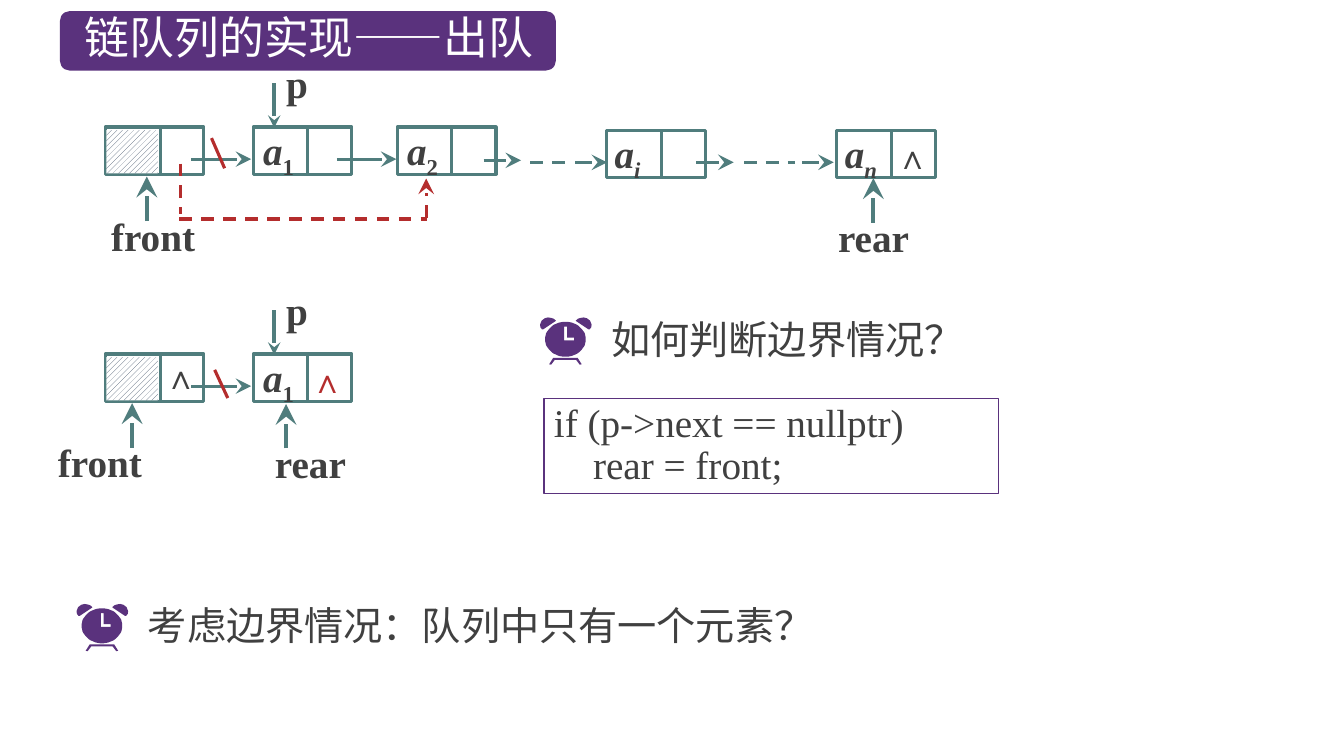
import math
import lxml.etree
import pptx
import pptx.dml.color
import pptx.enum.dml
import pptx.enum.shapes
import pptx.enum.text
import pptx.oxml.ns
import pptx.util

Cm = pptx.util.Cm
Pt = pptx.util.Pt
RGBColor = pptx.dml.color.RGBColor
SHAPE = pptx.enum.shapes.MSO_SHAPE
ALIGN = pptx.enum.text.PP_ALIGN
qn = pptx.oxml.ns.qn

TEAL = RGBColor(0x50, 0x7D, 0x7D)
RED = RGBColor(0xB4, 0x2D, 0x2D)
PURPLE = RGBColor(0x5A, 0x32, 0x7D)
DARK = RGBColor(0x40, 0x40, 0x40)
SLATE = RGBColor(0x44, 0x54, 0x6A)
WHITE = RGBColor(0xFF, 0xFF, 0xFF)

SERIF = "Times New Roman"
SANS = "Noto Sans CJK SC"
NODE_W, NODE_H = 2.49, 1.19
TOP_ROW, LOW_ROW = 3.2, 8.92
TAIL_ROW = 3.28
HEAD_X, A1_X = 2.65, 6.38

# Clock outlines in hundredths of a centimetre
CLOCK_W = 130
EAR = [(20, 0), (12, 2), (4, 8), (0, 18), (1, 25), (5, 30), (8, 30),
       (38, 10), (40, 8), (34, 3), (27, 1)]
LEGS = [(23, 118), (33, 102), (95, 102), (105, 118), (100, 119),
        (91, 107), (37, 107), (28, 119)]
HANDS = [(61, 23), (68, 23), (68, 51), (86, 51), (86, 58), (61, 58)]


def style(run, size, color, font=SERIF, bold=False):
    run.font.size = Pt(size)
    run.font.color.rgb = color
    run.font.name = font
    run.font.bold = bold
    if font == SANS:
        east = lxml.etree.SubElement(run.font._element, qn("a:ea"))
        east.set("typeface", font)


def inset(frame, left, top, right, bottom):
    frame.margin_left, frame.margin_top = Cm(left), Cm(top)
    frame.margin_right, frame.margin_bottom = Cm(right), Cm(bottom)


def label(slide, text, x, y, w, h, size=28, color=DARK, font=SERIF, bold=False):
    frame = slide.shapes.add_textbox(Cm(x), Cm(y), Cm(w), Cm(h)).text_frame
    frame.word_wrap = True
    frame.text = text
    for para in frame.paragraphs:
        style(para.runs[0], size, color, font, bold)
    return frame


def line(slide, x1, y1, x2, y2, color=TEAL, width=2.25, dash=False, arrow=None):
    """Draw a straight line; arrow is the size of its head, med or lg."""
    stroke = slide.shapes.add_connector(
        pptx.enum.shapes.MSO_CONNECTOR.STRAIGHT, Cm(x1), Cm(y1), Cm(x2), Cm(y2))
    stroke.line.color.rgb = color
    stroke.line.width = Pt(width)
    if dash:
        stroke.line.dash_style = pptx.enum.dml.MSO_LINE.DASH
    if arrow:
        end = lxml.etree.SubElement(stroke.line._get_or_add_ln(), qn("a:tailEnd"))
        end.set("type", "stealth")
        end.set("w", arrow)
        end.set("len", arrow)
    lxml.etree.SubElement(stroke._element.spPr, qn("a:effectLst"))


def block(slide, kind, x, y, w, h, fill=None, edge=None, width=2.25):
    shape = slide.shapes.add_shape(kind, Cm(x), Cm(y), Cm(w), Cm(h))
    shape.shadow.inherit = False
    if fill is None:
        shape.fill.background()
    else:
        shape.fill.solid()
        shape.fill.fore_color.rgb = fill
    if edge is None:
        shape.line.fill.background()
    else:
        shape.line.color.rgb = edge
        shape.line.width = Pt(width)
    return shape


def node(slide, x, y, index=None, slant=False):
    box = block(slide, SHAPE.RECTANGLE, x, y, NODE_W, NODE_H, edge=TEAL)
    if index is None:
        return
    line(slide, x + 1.37, y, x + 1.37, y + NODE_H)
    frame = box.text_frame
    frame.vertical_anchor = pptx.enum.text.MSO_ANCHOR.TOP
    inset(frame, 0.2 if slant else 0.25, 0, 0, 0.2)
    para = frame.paragraphs[0]
    para.text = "a"
    para.alignment = ALIGN.LEFT
    para.line_spacing = 0.9
    para.add_run().text = index
    for run, italic in zip(para.runs, (True, slant)):
        style(run, 28, DARK, bold=True)
        run.font.italic = italic
    para.runs[1].font._element.set("baseline", "-25000")


def head(slide, y):
    node(slide, HEAD_X, y)
    line(slide, HEAD_X + 1.4, y + 0.05, HEAD_X + 1.4, y + 0.05 + NODE_H)
    hatch = block(slide, SHAPE.RECTANGLE, HEAD_X + 0.03, y + 0.08, 1.3, 1.09, fill=WHITE)
    hatch.fill.patterned()
    hatch.fill.pattern = pptx.enum.dml.MSO_PATTERN.WIDE_UPWARD_DIAGONAL
    hatch.fill.fore_color.rgb = SLATE
    hatch.fill.back_color.rgb = WHITE


def tag(slide, word, x, y, w=2.16):
    frame = label(slide, word, x, y, w, 0.89, bold=True)
    inset(frame, 0, 0, 0, 0)
    frame.paragraphs[0].line_spacing = 0.8


def pointer(slide, word, x, y, tip):
    tag(slide, word, x, y)
    line(slide, tip, y, tip, y - 1.12, width=3, arrow="lg")


def caret(slide, x, y, color=DARK):
    label(slide, "∧", x, y, 1.45, 1.24, size=24, color=color, bold=True)


def front_pair(slide, y):
    """Head node, first node, the link between them and pointer p."""
    head(slide, y)
    node(slide, A1_X, y, "1")
    line(slide, 4.82, y + 0.81, 6.33, y + 0.81, arrow="lg")
    line(slide, 6.91, y - 1.1, 6.91, y + 0.02, width=3, arrow="med")
    tag(slide, "p", 7.21, y - 1.47, 0.84)


def outline(slide, x, y, *rings):
    start = rings[0][0]
    pen = slide.shapes.build_freeform(start[0], start[1], scale=Cm(0.01))
    for ring in rings:
        if ring is not rings[0]:
            pen.move_to(*ring[0])
        pen.add_line_segments(ring[1:], close=True)
    shape = pen.convert_to_shape(Cm(x), Cm(y))
    shape.shadow.inherit = False
    shape.fill.solid()
    shape.fill.fore_color.rgb = PURPLE
    shape.line.fill.background()


def clock(slide, x, y):
    turns = [math.radians(angle) for angle in range(0, 360, 6)]
    face = [(round(64 + 51 * math.cos(t)), round(55 + 44 * math.sin(t))) for t in turns]
    outline(slide, x, y, EAR)
    outline(slide, x, y, [(CLOCK_W - px, py) for px, py in EAR])
    outline(slide, x, y, face, HANDS)
    outline(slide, x, y, LEGS)


def prompt(slide, text, x, y, w):
    clock(slide, x, y + 0.18)
    label(slide, text, x + 1.55, y, w, 1.45, font=SANS)


def main():
    deck = pptx.Presentation()
    deck.slide_width, deck.slide_height = Cm(33.87), Cm(19.05)
    slide = deck.slides.add_slide(deck.slide_layouts[6])

    # Title
    block(slide, SHAPE.ROUNDED_RECTANGLE, 1.51, 0.28, 12.5, 1.5, fill=PURPLE)
    title = label(slide, "链队列的实现——出队", 1.86, 0.13, 11.86, 1.63, 32, WHITE, SANS)
    title.paragraphs[0].alignment = ALIGN.CENTER

    # Queue with many nodes
    front_pair(slide, TOP_ROW)
    node(slide, 10.01, TOP_ROW, "2")
    node(slide, 15.29, TAIL_ROW, "i", slant=True)
    node(slide, 21.09, TAIL_ROW, "n", slant=True)
    caret(slide, 22.33, 3.3)
    for x1, x2, y in ((8.49, 9.99, 4.01), (12.19, 13.13, 4.04), (14.5, 15.3, 4.09),
                      (17.55, 18.49, 4.09), (20.22, 21.01, 4.09)):
        line(slide, x1, y, x2, y, arrow="lg")
    for x1, x2 in ((13.36, 14.27), (18.75, 20.04)):
        line(slide, x1, 4.09, x2, 4.09, dash=True)
    pointer(slide, "front", 2.8, 5.57, 3.7)
    pointer(slide, "rear", 21.12, 5.61, 22.01)

    # New link past the removed node
    line(slide, 5.33, 3.48, 5.66, 4.24, RED)
    line(slide, 4.56, 4.12, 4.56, 5.39, RED, dash=True)
    line(slide, 4.52, 5.52, 10.77, 5.52, RED, dash=True)
    line(slide, 10.74, 5.49, 10.74, 4.5, RED, dash=True, arrow="lg")

    # Queue with a single node
    front_pair(slide, LOW_ROW)
    caret(slide, 3.89, 8.84)
    caret(slide, 7.58, 8.94, RED)
    line(slide, 5.41, 9.32, 5.74, 10.03, RED)
    pointer(slide, "front", 1.46, 11.28, 3.33)
    pointer(slide, "rear", 6.93, 11.3, 7.21)

    # Questions and code
    prompt(slide, "如何判断边界情况？", 13.61, 7.82, 10)
    prompt(slide, "考虑边界情况：队列中只有一个元素？", 1.93, 15.04, 17.48)
    block(slide, SHAPE.RECTANGLE, 13.71, 10.04, 11.46, 2.39, edge=PURPLE, width=0.75)
    code = label(slide, "if (p->next == nullptr)\n    rear = front;", 13.71, 10.05, 11.46, 2.39)
    for para in code.paragraphs:
        para.line_spacing = Pt(30)

    deck.save("out.pptx")


if __name__ == "__main__":
    main()
